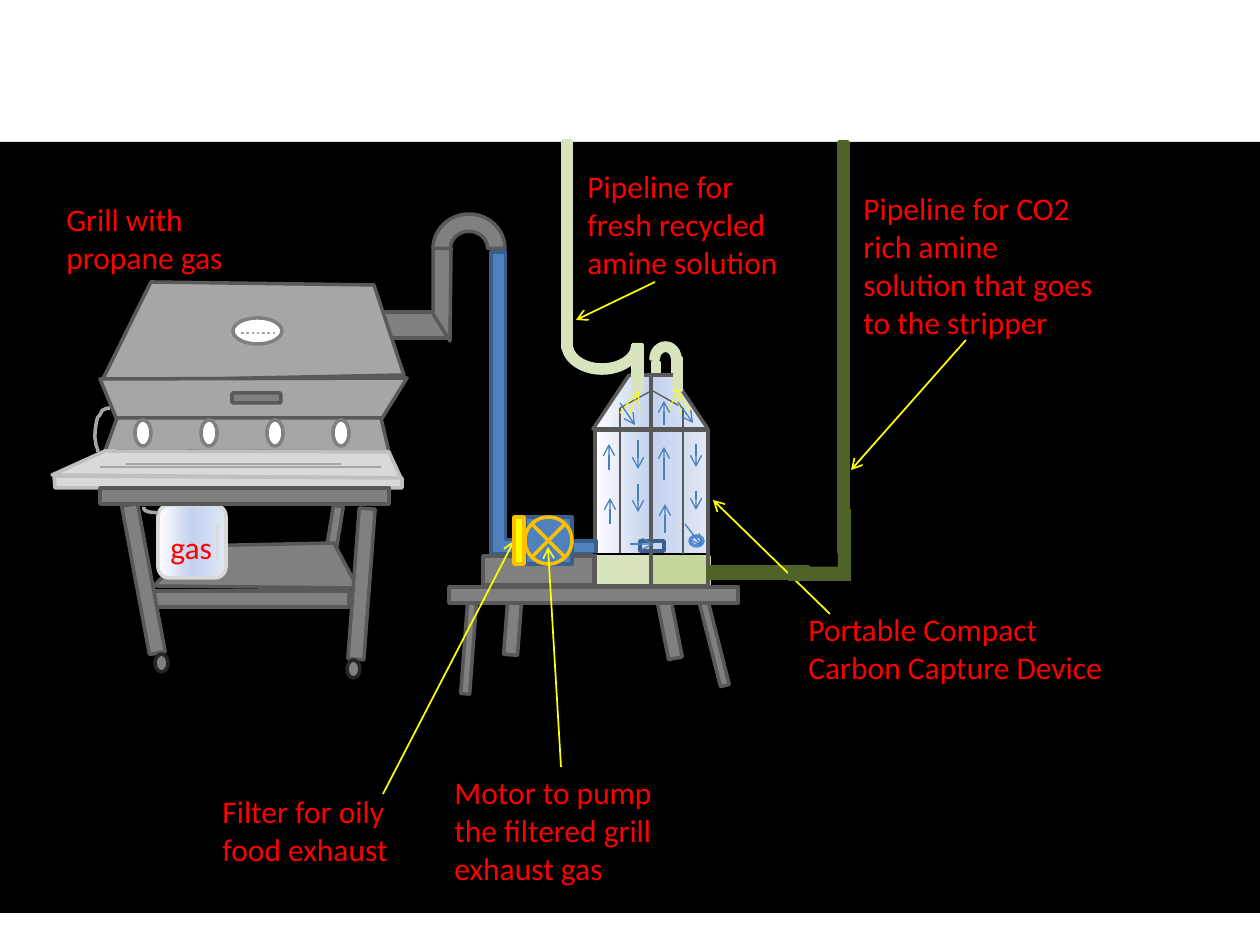
from copy import deepcopy

from pptx import Presentation
from pptx.dml.color import RGBColor
from pptx.enum.dml import MSO_LINE
from pptx.enum.shapes import MSO_CONNECTOR, MSO_SHAPE
from pptx.enum.text import MSO_AUTO_SIZE
from pptx.oxml.ns import qn
from pptx.oxml.xmlchemy import OxmlElement
from pptx.util import Pt

PX = 914400 / 126
BLACK, WHITE = RGBColor(0, 0, 0), RGBColor(255, 255, 255)
STEEL, EDGE = RGBColor(0x80, 0x80, 0x80), RGBColor(0x59, 0x59, 0x59)
LID, TRAY = RGBColor(0xA6, 0xA6, 0xA6), RGBColor(0xD9, 0xD9, 0xD9)
TRAY_EDGE, RUBBER = RGBColor(0xBF, 0xBF, 0xBF), RGBColor(0x26, 0x26, 0x26)
BLUE, BLUE_EDGE = RGBColor(0x4F, 0x81, 0xBD), RGBColor(0x3A, 0x5F, 0x8C)
FLOW, PALE_BLUE = RGBColor(0x4B, 0x7E, 0xBC), RGBColor(0xC6, 0xD9, 0xF1)
OUTLET = RGBColor(0x55, 0x8E, 0xD5)
FRESH, USED = RGBColor(0xD7, 0xE4, 0xBD), RGBColor(0xC3, 0xD6, 0x9B)
RICH = RGBColor(0x4F, 0x62, 0x28)
YELLOW, AMBER, RED = RGBColor(255, 255, 0), RGBColor(255, 0xC0, 0), RGBColor(255, 0, 0)
GLASS = (WHITE, RGBColor(0xC2, 0xD1, 0xED), RGBColor(0xE1, 0xE8, 0xF5))
RECT, ROUND, OVAL = MSO_SHAPE.RECTANGLE, MSO_SHAPE.ROUNDED_RECTANGLE, MSO_SHAPE.OVAL
ARC, CORNER, PROCESS = MSO_SHAPE.BLOCK_ARC, MSO_SHAPE.CORNER, MSO_SHAPE.FLOWCHART_PROCESS


def emu(*pixels):
    """Turn pixels into EMU."""
    return [round(p * PX) for p in pixels]


def bezier(start, curves, steps=6):
    """Sample chained cubic curves as points."""
    points = [start]
    for b, c, d in curves:
        a = points[-1]
        for t in (i / steps for i in range(1, steps + 1)):
            u = 1 - t
            points.append(tuple(u**3 * p + 3 * u * u * t * q + 3 * u * t * t * r + t**3 * s
                                for p, q, r, s in zip(a, b, c, d)))
    return points


class Diagram:
    """The slide and its drawing style."""

    def __init__(self, slide):
        self.slide = slide
        self.shapes = slide.shapes

    def group(self):
        """Send the next elements into a new group."""
        self.shapes = self.slide.shapes.add_group_shape().shapes

    def ungroup(self):
        """Send the next elements straight to the slide."""
        self.shapes = self.slide.shapes

    def paint(self, shape, fill, line):
        """Set fill and outline; None means none."""
        shape.shadow.inherit = False
        if fill is None:
            shape.fill.background()
        elif fill is GLASS:
            shape.fill.gradient()
            shape.fill.gradient_angle = 0
            stops = shape.element.spPr.find(".//" + qn("a:gsLst"))
            stops.insert(1, deepcopy(stops[0]))
            for i, stop in enumerate(shape.fill.gradient_stops):
                stop.color.rgb, stop.position = GLASS[i], i / 2
        else:
            shape.fill.solid()
            shape.fill.fore_color.rgb = fill
        if line is None:
            shape.line.fill.background()
        else:
            shape.line.color.rgb, shape.line.width = line, Pt(2)

    def shape(self, box, kind=RECT, fill=STEEL, line=EDGE, turn=0, adjust=(), flip=False):
        """Draw a preset shape."""
        part = self.shapes.add_shape(kind, *emu(*box))
        self.paint(part, fill, line)
        part.rotation = turn
        for i, value in enumerate(adjust):
            part.adjustments[i] = value
        if flip:
            part.element.spPr.find(qn("a:xfrm")).set("flipH", "1")

    def outline(self, points, fill=STEEL, line=EDGE):
        """Draw a freeform, closed when it is filled."""
        corners = [tuple(emu(*p)) for p in points]
        builder = self.shapes.build_freeform(*corners[0])
        builder.add_line_segments(corners[1:], close=fill is not None)
        self.paint(builder.convert_to_shape(), fill, line)

    def line(self, ends, color=EDGE, width=0.75, dash=None, arrow=False):
        """Draw a straight line or arrow."""
        link = self.shapes.add_connector(MSO_CONNECTOR.STRAIGHT, *emu(*ends))
        link.line.color.rgb, link.line.width = color, Pt(width)
        if dash:
            link.line.dash_style = dash
        if arrow:
            tail = OxmlElement("a:tailEnd")
            tail.set("type", "arrow")
            link.element.spPr.find(qn("a:ln")).append(tail)
        link.element.spPr.append(OxmlElement("a:effectLst"))

    def flows(self, *arrows):
        """Draw the gas flow arrows."""
        for ends in arrows:
            self.line(ends, FLOW, arrow=True)

    def spray(self, x, y, bottom, targets):
        """Draw the dashed jets of a nozzle."""
        for target in targets:
            self.line((x, y, target, bottom), YELLOW, dash=MSO_LINE.SQUARE_DOT)

    def pointers(self, *arrows):
        """Draw the arrows from labels to parts."""
        for ends in arrows:
            self.line(ends, YELLOW, 1, arrow=True)

    def label(self, box, text, wrap=True):
        """Write a red label."""
        frame = self.shapes.add_textbox(*emu(*box)).text_frame
        frame.word_wrap, frame.auto_size = wrap, MSO_AUTO_SIZE.SHAPE_TO_FIT_TEXT
        frame.text = text
        font = frame.paragraphs[0].runs[0].font
        font.name, font.size, font.color.rgb = "Calibri", Pt(18), RED


def draw_grill(d):
    """Draw the grill, its stand and gas bottle."""
    d.group()
    d.shape((383, 312, 64, 26))
    d.outline([(151, 282), (102, 381), (404, 375), (374, 285)], LID)
    d.outline([(100, 379), (117, 420), (381, 420), (407, 378)], LID)
    d.outline([(117, 418), (105, 451), (389, 452), (381, 418)], LID)
    for knob in range(4):
        d.shape((135 + 66 * knob, 420, 16, 26), OVAL, WHITE, STEEL)
    d.shape((233, 318, 49, 26), OVAL, WHITE, STEEL)
    d.line((241, 333, 275, 333), LID, 1.5, MSO_LINE.ROUND_DOT)
    d.shape((232, 393, 49, 10), ROUND)
    d.outline([(105, 451), (52, 475), (401, 478), (389, 452)], TRAY, TRAY_EDGE)
    d.outline([(54, 476), (55, 488), (402, 488), (402, 478), (389, 478)], TRAY, TRAY_EDGE)
    d.shape((151, 591, 198, 16))
    d.shape((154, 538, 73, 10), turn=79.5)
    d.shape((296, 537, 73, 10), turn=99.2)
    d.outline([(154, 586), (192, 546), (334, 543), (358, 588)])
    d.shape((286, 576, 151, 16), turn=94.3)
    d.shape((68, 571, 151, 16), turn=79.4)
    for x, y in ((155, 654), (347, 660)):
        d.shape((x, y, 13, 18), OVAL, line=RUBBER)
    d.shape((158, 505, 68, 73), ROUND, GLASS, TRAY)
    d.shape((100, 488, 289, 16))
    d.line((217, 561, 217, 525), TRAY)
    d.outline(bezier((158, 513), [((154, 512), (146, 513), (144, 509)),
                                  ((144, 508), (144, 507), (144, 507))]), None, LID)
    d.outline(bezier((98, 452), [((98, 450), (97, 447), (96, 445)),
                                 ((96, 442), (95, 440), (95, 436)),
                                 ((95, 432), (96, 421), (98, 417)),
                                 ((101, 415), (101, 411), (103, 410)),
                                 ((108, 408), (106, 408), (110, 408))]), None, LID)
    d.line((100, 467, 381, 467), LID)
    d.line((126, 464, 341, 464), LID)
    d.outline([(450, 341), (433, 314), (433, 247), (451, 248)])
    d.ungroup()


def draw_device(d):
    """Draw the exhaust pipe and the capture column."""
    d.shape((433, 214, 72, 69), ARC)
    d.shape((491, 252, 29, 302), CORNER, BLUE, BLUE_EDGE)
    d.shape((595, 430, 113, 155), RECT, GLASS)
    d.shape((593, 343, 115, 86), MSO_SHAPE.ISOSCELES_TRIANGLE, GLASS)
    d.shape((593, 314, 102, 58), RECT, BLACK, BLACK)
    d.shape((572, 541, 24, 13), RECT, BLUE, BLUE_EDGE)
    d.line((593, 554, 708, 554), BLACK)
    for ends in ((683, 408, 683, 554), (683, 408, 653, 391),
                 (620, 553, 620, 408), (620, 408, 651, 391)):
        d.line(ends)
    d.flows((610, 524, 610, 498))
    d.spray(638, 391, 413, (620, 630, 640))
    d.shape((596, 557, 55, 28), RECT, FRESH, FRESH)
    d.shape((651, 557, 58, 28), RECT, USED, USED)
    for ends in ((593, 586, 708, 586), (708, 586, 708, 553), (595, 586, 595, 554)):
        d.line(ends, width=2.25)
    d.shape((673, 358, 8, 32), RECT, FRESH, FRESH)
    d.spray(677, 389, 412, (669, 680, 690))
    d.shape((651, 343, 29, 32), ARC, FRESH, FRESH)
    d.shape((653, 362, 6, 11), RECT, FRESH, FRESH)
    d.line((630, 375, 673, 375), width=2.25)
    d.flows((664, 480, 664, 447), (665, 533, 665, 504), (664, 425, 664, 401),
            (678, 402, 693, 423), (696, 444, 696, 467), (609, 470, 609, 444),
            (696, 491, 696, 510))
    d.shape((690, 536, 13, 10), MSO_SHAPE.FLOWCHART_CONNECTOR, PALE_BLUE, OUTLET)
    d.shape((640, 541, 24, 10), PROCESS, PALE_BLUE, BLUE_EDGE)
    d.line((651, 374, 651, 586), width=2.25)
    d.flows((620, 403, 635, 425), (638, 440, 638, 469), (638, 484, 638, 512),
            (630, 544, 654, 544), (685, 524, 702, 546))
    d.shape((633, 345, 9, 45), RECT, FRESH, FRESH)
    d.shape((563, 316, 78, 57), ARC, FRESH, FRESH, 180, (108, 213.407, 0.141))
    d.shape((563, 141, 8, 207), RECT, FRESH, FRESH)


def draw_bench(d):
    """Draw the pump and the bench below the column."""
    d.shape((483, 556, 111, 29))
    d.group()
    d.shape((525, 517, 47, 47), RECT, BLUE, BLUE_EDGE)
    d.shape((525, 517, 47, 47), MSO_SHAPE.FLOWCHART_SUMMING_JUNCTION, BLUE, AMBER)
    d.ungroup()
    d.shape((708, 567, 100, 11), PROCESS, RICH, RICH)
    for box, turn in (((423, 644, 91, 9), 94.3), ((480, 615, 66, 14), 94.3),
                      ((636, 619, 66, 14), 78.9), ((667, 636, 93, 9), 75.8)):
        d.shape(box, turn=turn)
    d.shape((449, 587, 289, 16))


deck = Presentation()
deck.slide_width, deck.slide_height = emu(1260, 945)
diagram = Diagram(deck.slides.add_slide(deck.slide_layouts[6]))
diagram.shape((0, 142, 1260, 771), RECT, BLACK, None)
draw_grill(diagram)
draw_device(diagram)
for place, words in (((54, 194, 202, 89), "Grill with propane gas"),
                     ((210, 786, 198, 89), "Filter for oily food exhaust"),
                     ((442, 767, 236, 127), "Motor to pump the filtered grill exhaust gas"),
                     ((575, 161, 222, 127), "Pipeline for fresh recycled amine solution"),
                     ((796, 604, 333, 89), "Portable Compact Carbon Capture Device")):
    diagram.label(place, words)
draw_bench(diagram)
diagram.pointers((830, 614, 713, 500), (383, 794, 514, 541), (561, 767, 548, 547))
diagram.label((851, 183, 270, 165),
              "Pipeline for CO2 rich amine solution that goes to the stripper")
diagram.label((158, 522, 68, 50), "gas", wrap=False)
diagram.shape((839, 142, 9, 411), PROCESS, RICH, RICH)
diagram.shape((788, 509, 63, 72), CORNER, RICH, None, adjust=(0.229, 0.208), flip=True)
diagram.shape((514, 517, 10, 47), PROCESS, YELLOW, AMBER)
diagram.pointers((655, 282, 576, 320), (966, 340, 851, 470))
deck.save("out.pptx")
